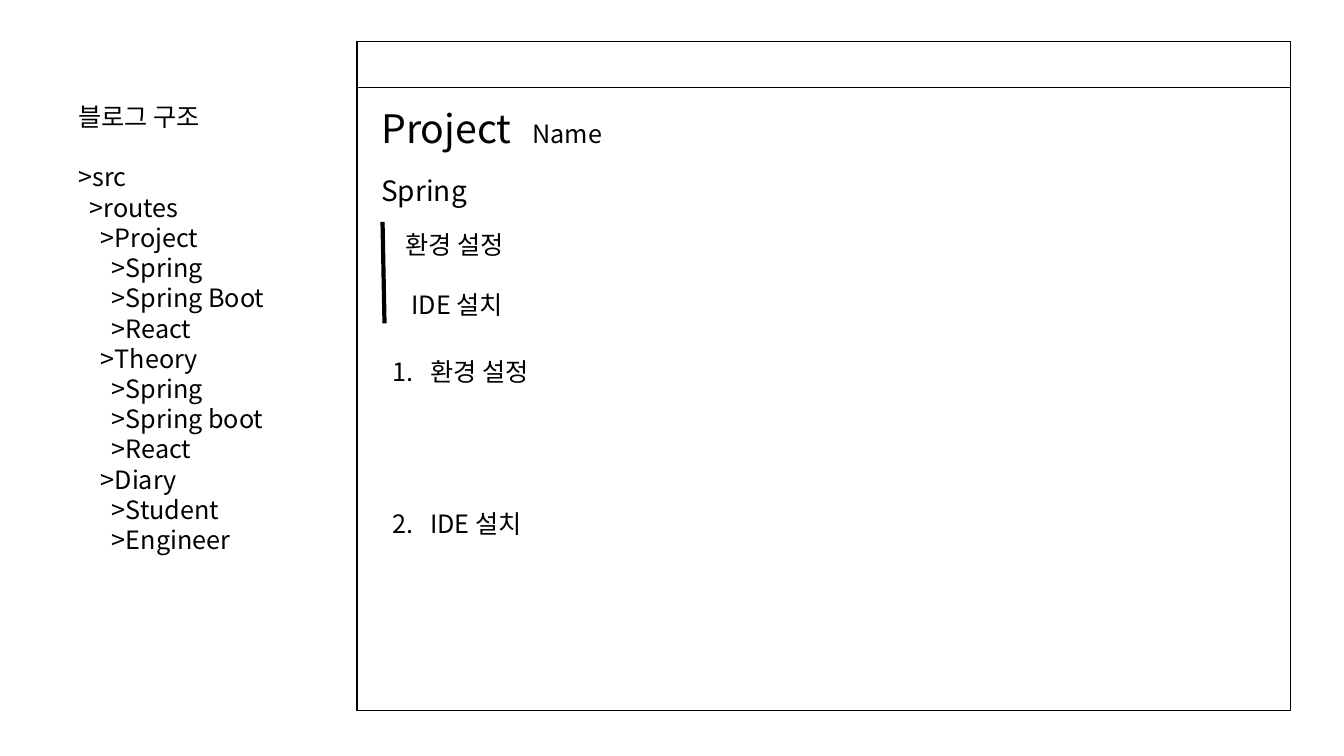
from lxml import etree
from pptx import Presentation
from pptx.dml.color import RGBColor
from pptx.enum.shapes import MSO_CONNECTOR as Connector, MSO_SHAPE as Shape
from pptx.enum.text import MSO_ANCHOR as Anchor, MSO_AUTO_SIZE as AutoSize, PP_ALIGN as Align
from pptx.oxml.ns import qn
from pptx.util import Cm, Pt

FONT = "Noto Sans CJK KR"
BLACK, WHITE = "000000", "FFFFFF"
BODY = 18
LEADING = 1.2
LINE = BODY * LEADING  # height of one body line in points
TREE_STEP = 0.28

# Folder tree: (level, name)
FOLDERS = [
    (0, "src"), (1, "routes"),
    (2, "Project"), (3, "Spring"), (3, "Spring Boot"), (3, "React"),
    (2, "Theory"), (3, "Spring"), (3, "Spring boot"), (3, "React"),
    (2, "Diary"), (3, "Student"), (3, "Engineer"),
]
TOPICS = ["환경 설정", "IDE 설치"]


def color(hex_text):
    return RGBColor.from_string(hex_text)


def place(shape, left, top, width, height):
    shape.left, shape.top, shape.width, shape.height = map(Cm, (left, top, width, height))


def prepare(shape):
    """Top-left text with wrapping; returns the text frame."""
    frame = shape.text_frame
    frame.word_wrap = True
    frame.auto_size = AutoSize.NONE
    frame.vertical_anchor = Anchor.TOP
    frame.margin_left = frame.margin_right = Cm(0.25)
    frame.margin_top = frame.margin_bottom = Cm(0.13)
    return frame


def add_box(page, left, top, width, height):
    return prepare(page.shapes.add_textbox(*map(Cm, (left, top, width, height))))


def add_para(frame, spans, before=0, indent=0, hanging=0):
    """Fill the first empty paragraph or add one; spans are (text, size)."""
    para = frame.paragraphs[0]
    if para.runs:
        para = frame.add_paragraph()
    para.alignment = Align.LEFT
    para.space_before, para.space_after = Pt(before), Pt(0)
    para.line_spacing = Pt(max(size for _, size in spans) * LEADING)
    props = para._p.get_or_add_pPr()
    props.set("marL", str(Cm(indent)))
    props.set("indent", str(-Cm(hanging)))
    for text, size in spans:
        span = para.add_run()
        span.text = text
        span.font.name, span.font.size = FONT, Pt(size)
        span.font.color.rgb = color(BLACK)
        east = etree.SubElement(span.font._element, qn("a:ea"))
        east.set("typeface", FONT)
    return props


def add_panel(page, left, top, width, height):
    panel = page.shapes.add_shape(Shape.RECTANGLE, *map(Cm, (left, top, width, height)))
    panel.shadow.inherit = False
    panel.fill.solid()
    panel.fill.fore_color.rgb = color(WHITE)
    panel.line.color.rgb = color(BLACK)
    panel.line.width = Pt(1)


def add_tree(page, left, top, width, height):
    frame = add_box(page, left, top, width, height)
    add_para(frame, [("블로그 구조", BODY)])
    for index, (level, name) in enumerate(FOLDERS):
        add_para(frame, [(">" + name, BODY)], before=0 if index else LINE,
                 indent=level * TREE_STEP)


def add_window(page, left, top, width, height):
    # Window and its top bar
    add_panel(page, left, top, width, height)
    add_panel(page, left, top, width, 1.17)

    # Placeholders come to the front of the window
    title, body = page.placeholders
    for holder in (title, body):
        holder.element.getparent().append(holder.element)

    # Title, with a tab stop between its two words
    place(title, left + 0.36, top + 1.45, 12.73, 1.45)
    props = add_para(prepare(title), [("Project", 28), ("\tName", BODY)])
    stops = etree.SubElement(props, qn("a:tabLst"))
    etree.SubElement(stops, qn("a:tab"), pos=str(Cm(3.83)), algn="l")

    # Section name
    add_para(add_box(page, left + 0.36, top + 3.2, 12.73, 1.12), [("Spring", 20)])

    # Contents beside a thick rule
    rule = page.shapes.add_connector(
        Connector.STRAIGHT, Cm(left + 0.64), Cm(top + 4.55), Cm(left + 0.69), Cm(top + 7.11))
    rule.line.color.rgb = color(BLACK)
    rule.line.width = Pt(3)
    etree.SubElement(rule._element.spPr, qn("a:effectLst"))
    contents = add_box(page, left + 0.97, top + 4.6, 4.98, 2.57)
    for index, topic in enumerate(TOPICS):
        add_para(contents, [(topic, BODY)], before=index * LINE, indent=index * 0.15)

    # Numbered sections, four lines apart
    place(body, left + 0.64, top + 7.82, 22.43, 4.88)
    sections = prepare(body)
    for index, topic in enumerate(TOPICS):
        props = add_para(sections, [(topic, BODY)], before=index * 4 * LINE,
                         indent=0.95, hanging=0.95)
        etree.SubElement(props, qn("a:buFont"), typeface="+mj-lt")
        etree.SubElement(props, qn("a:buAutoNum"), type="arabicPeriod")


deck = Presentation()
deck.slide_width, deck.slide_height = Cm(33.87), Cm(19.05)
page = deck.slides.add_slide(deck.slide_layouts[1])
add_tree(page, 1.73, 2.42, 8.23, 14.1)
add_window(page, 9, 1.04, 23.52, 16.87)
deck.save("out.pptx")
